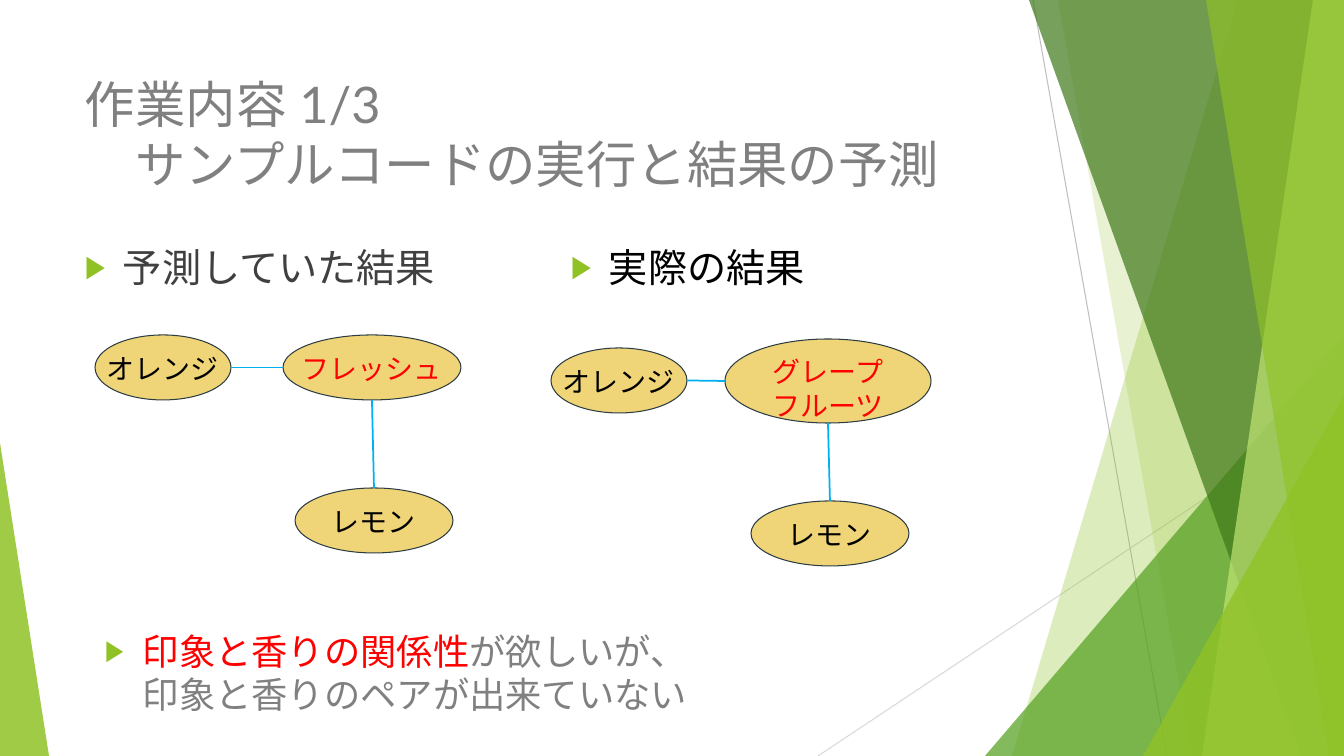
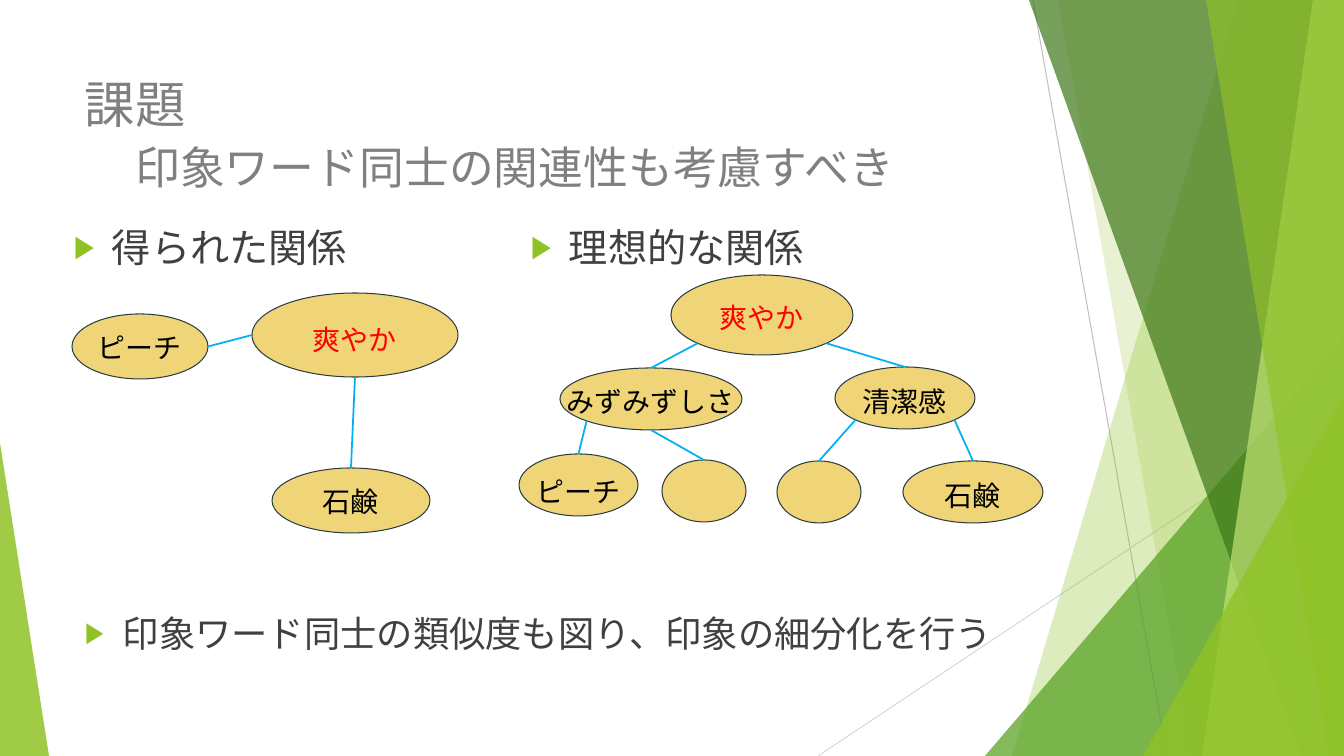
import math
from dataclasses import dataclass

import lxml.etree
import pptx
import pptx.dml.color
import pptx.enum.dml
import pptx.enum.lang
import pptx.enum.shapes
import pptx.enum.text
import pptx.oxml.ns
import pptx.util


@dataclass(frozen=True)
class Theme:
    lime: str = "90C226"
    green: str = "54A021"
    forest: str = "3F7819"
    pale: str = "C0E474"
    hairlines: tuple = ("BFBFBF", "D9D9D9")
    gray: str = "808080"
    dark: str = "404040"
    black: str = "000000"
    red: str = "FF0000"
    sand: str = "F0D578"
    slate: str = "2C3C43"
    blue: str = "00B0F0"
    title_font: str = "Lato"
    note_font: str = "Arial"
    node_font: str = "Noto Sans CJK JP"
    title: float = 36
    subtitle: float = 32
    heading: float = 28
    note: float = 25.9
    node: float = 20
    hairline: float = 0.75
    link: float = 1.25


T = Theme()
PX = 914400 / 100.8
W, H = 1344, 756
SHAPE = pptx.enum.shapes.MSO_SHAPE
ALIGN = pptx.enum.text.PP_ALIGN
ANCHOR = pptx.enum.text.MSO_ANCHOR
RGB = pptx.dml.color.RGBColor.from_string
Pt = pptx.util.Pt
qn = pptx.oxml.ns.qn


def write(p, runs, font, size):
    for text, color in runs:
        for i, line in enumerate(text.split("\n")):
            if i:
                p.add_line_break()
            r = p.add_run()
            r.text = line
            r.font.name, r.font.size = font, Pt(size)
            r.font.color.rgb = RGB(color)
            r.font.language_id = pptx.enum.lang.MSO_LANGUAGE_ID.JAPANESE
            ea = lxml.etree.SubElement(r.font._element, qn("a:ea"))
            ea.set("typeface", T.title_font)


def connect(s, start, end, color, width):
    ends = [round(v * PX) for v in (*start, *end)]
    line = s.shapes.add_connector(pptx.enum.shapes.MSO_CONNECTOR.STRAIGHT, *ends)
    line.line.color.rgb = RGB(color)
    line.line.width = Pt(width)
    lxml.etree.SubElement(line._element.spPr, qn("a:effectLst"))


hairlines = [((1033, 0), (1167, H)), ((W, 406), (818, H))]
facets = [
    ("band", (1238, 1012), T.lime, 30),
    ("band", (1058, 1192), T.lime, 20),
    ("triangle", (985, 336, 359, 420, 1), T.green, 72),
    ("band", (1029, 1301), T.forest, 70),
    ("band", (1313, 1202), T.pale, 70),
    ("band", (1206, 1329), T.lime, 65),
    ("triangle", (1143, 396, 201, 360, 1), T.lime, 80),
    ("triangle", (0, 443, 49, 313, 0), T.lime, 85),
]

TOP, LEFT, LOWER_LEFT, BOTTOM, LOWER_RIGHT, RIGHT = 0, 2, 3, 4, 5, 6

slides = [
    {
        "title": [("作業内容 1/3", T.title), ("サンプルコードの実行と結果の予測", T.title)],
        "bullets": [
            ((75, 238, 462, 427), T.title_font, T.heading, [("予測していた結果", T.dark)]),
            ((561, 238, 462, 427), T.note_font, T.heading, [("実際の結果", T.black)]),
            ((95, 624, 853, 96), T.note_font, T.note,
             [("印象と香りの関係性", T.red),
              ("が欲しいが、\n印象と香りのペアが出来ていない", T.gray)]),
        ],
        "nodes": [
            ((95, 335, 136, 65), "オレンジ", T.black, 1),
            ((295, 488, 158, 65), "レモン", T.black, 1),
            ((283, 335, 178, 65), "フレッシュ", T.red, 1),
            ((551, 348, 136, 65), "オレンジ", T.black, 1),
            ((751, 501, 158, 65), "レモン", T.black, 1),
            ((725, 339, 206, 84), "グレープ\nフルーツ", T.red, 7),
        ],
        "links": [(0, RIGHT, 2, LEFT), (1, TOP, 2, BOTTOM),
                  (3, RIGHT, 5, LEFT), (4, TOP, 5, BOTTOM)],
    },
    {
        "title": [("課題", T.title), ("印象ワード同士の関連性も考慮すべき", T.subtitle)],
        "bullets": [
            ((64, 218, 462, 328), T.title_font, T.heading, [("得られた関係", T.dark)]),
            ((521, 218, 462, 427), T.title_font, T.heading, [("理想的な関係", T.dark)]),
            ((75, 606, 958, 61), T.note_font, T.note,
             [("印象ワード同士の類似度も図り、印象の細分化を行う", T.dark)]),
        ],
        "nodes": [
            ((72, 314, 136, 65), "ピーチ", T.black, 1),
            ((272, 468, 158, 65), "石鹸", T.black, 1),
            ((252, 293, 206, 84), "爽やか", T.red, 4),
            ((671, 275, 182, 80), "爽やか", T.red, 2),
            ((560, 368, 182, 62), "みずみずしさ", T.black, 2),
            ((835, 367, 140, 62), "清潔感", T.black, 3),
            ((519, 454, 119, 62), "ピーチ", T.black, 6),
            ((662, 460, 84, 62), "", T.black, 0),
            ((777, 461, 84, 62), "", T.black, 0),
            ((903, 461, 140, 62), "石鹸", T.black, 3),
        ],
        "links": [(0, RIGHT, 2, LEFT), (1, TOP, 2, BOTTOM),
                  (3, LOWER_LEFT, 4, TOP), (3, LOWER_RIGHT, 5, TOP),
                  (4, LOWER_LEFT, 6, TOP), (4, BOTTOM, 7, TOP),
                  (5, LOWER_LEFT, 8, TOP), (5, LOWER_RIGHT, 9, TOP)],
    },
]

prs = pptx.Presentation()
prs.slide_width, prs.slide_height = round(W * PX), round(H * PX)

for page in slides:
    s = prs.slides.add_slide(prs.slide_layouts[6])

    for (start, end), color in zip(hairlines, T.hairlines):
        connect(s, start, end, color, T.hairline)

    for kind, geometry, color, alpha in facets:
        if kind == "band":
            top, bottom = geometry
            outline = s.shapes.build_freeform(top, 0, scale=PX)
            outline.add_line_segments([(W, 0), (W, H), (bottom, H)], close=True)
            sp = outline.convert_to_shape()
        else:
            box = [round(v * PX) for v in geometry[:4]]
            sp = s.shapes.add_shape(SHAPE.ISOSCELES_TRIANGLE, *box)
            sp.adjustments[0] = geometry[4]
        sp.shadow.inherit = False
        sp.fill.solid()
        sp.fill.fore_color.rgb = RGB(color)
        clr = sp._element.spPr.find(".//" + qn("a:srgbClr"))
        lxml.etree.SubElement(clr, qn("a:alpha")).set("val", str(alpha * 1000))
        sp.line.fill.background()

    tf = s.shapes.add_textbox(*[round(v * PX) for v in (75, 68, 948, 145)]).text_frame
    tf.word_wrap = True
    for i, (text, size) in enumerate(page["title"]):
        p = tf.add_paragraph() if i else tf.paragraphs[0]
        p.line_spacing = Pt(43)
        p._p.get_or_add_pPr().set("marL", str(i * 457200))
        write(p, [(text, T.gray)], T.title_font, size)

    for box, font, size, runs in page["bullets"]:
        tf = s.shapes.add_textbox(*[round(v * PX) for v in box]).text_frame
        tf.word_wrap = True
        p = tf.paragraphs[0]
        pPr = p._p.get_or_add_pPr()
        indent = round(38 * PX)
        pPr.set("marL", str(indent))
        pPr.set("indent", str(-indent))
        bullet_color = lxml.etree.SubElement(pPr, qn("a:buClr"))
        lxml.etree.SubElement(bullet_color, qn("a:srgbClr")).set("val", T.lime)
        lxml.etree.SubElement(pPr, qn("a:buSzPct")).set("val", "80000")
        lxml.etree.SubElement(pPr, qn("a:buFont")).set("typeface", T.note_font)
        lxml.etree.SubElement(pPr, qn("a:buChar")).set("char", "▶")
        write(p, runs, font, size)

    for box, text, color, drop in page["nodes"]:
        sp = s.shapes.add_shape(SHAPE.OVAL, *[round(v * PX) for v in box])
        sp.shadow.inherit = False
        sp.fill.solid()
        sp.fill.fore_color.rgb = RGB(T.sand)
        sp.line.color.rgb = RGB(T.slate)
        sp.line.width = Pt(T.hairline)
        if text:
            tf = sp.text_frame
            tf.word_wrap = False
            tf.vertical_anchor = ANCHOR.MIDDLE
            tf.margin_left = tf.margin_right = tf.margin_bottom = 0
            tf.margin_top = round(2 * drop * PX)
            p = tf.paragraphs[0]
            p.alignment = ALIGN.CENTER
            write(p, [(text, color)], T.node_font, T.node)

    for a, site_a, b, site_b in page["links"]:
        ends = []
        for node, site in ((a, site_a), (b, site_b)):
            left, top, width, height = page["nodes"][node][0]
            angle = math.radians(90 + 45 * site)
            ends.append((left + width / 2 * (1 + math.cos(angle)),
                         top + height / 2 * (1 - math.sin(angle))))
        connect(s, *ends, T.blue, T.link)

prs.save("out.pptx")
